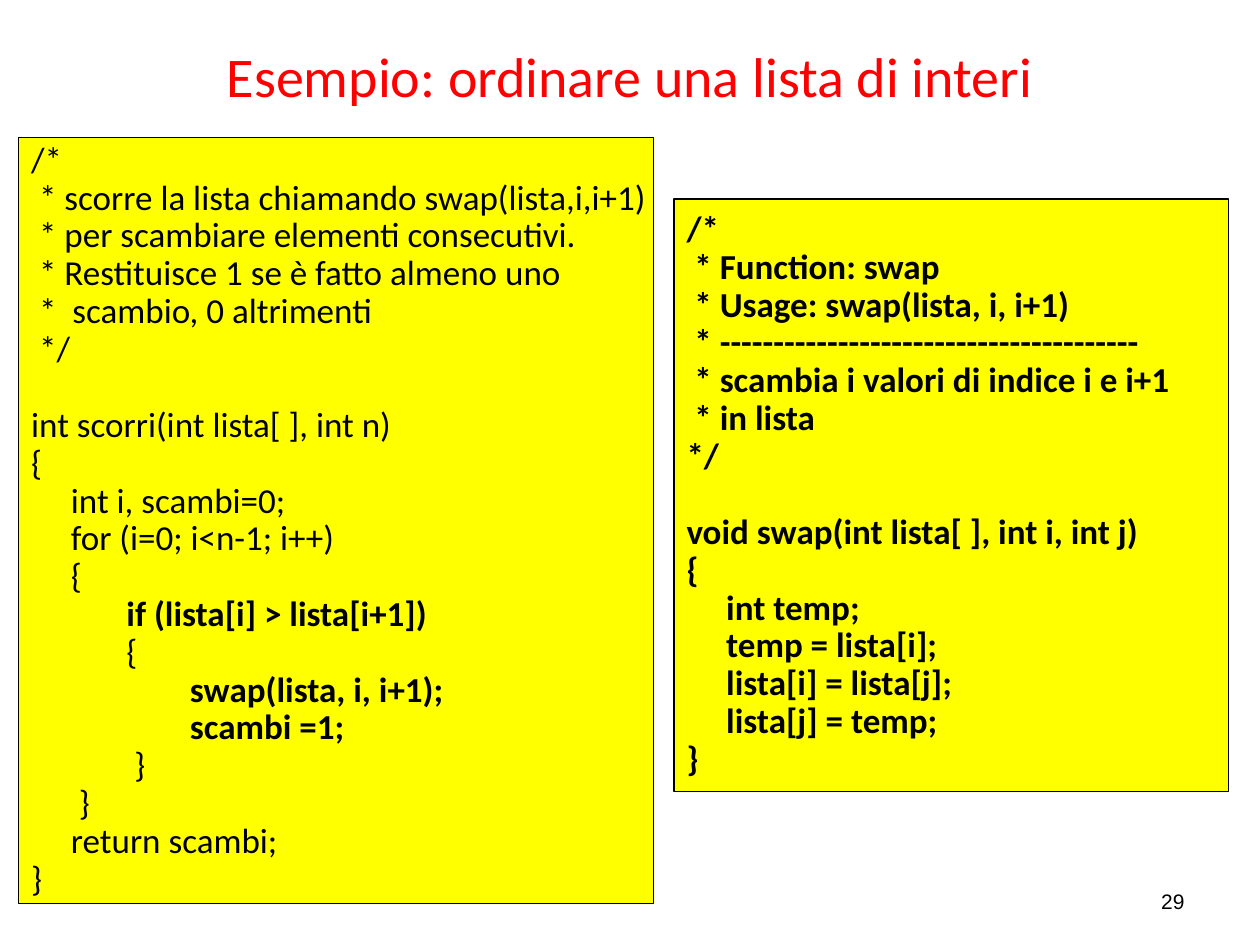
from dataclasses import dataclass

import pptx
import pptx.dml.color
import pptx.enum.shapes
import pptx.enum.text
import pptx.slide
import pptx.text.text
import pptx.util
from pptx.util import Cm, Pt

ALIGN = pptx.enum.text.PP_ALIGN
MIDDLE = pptx.enum.text.MSO_ANCHOR.MIDDLE
INDENT_STEP = 0.16  # cm, one character column of the code
BLANK_LINE = Pt(22)


@dataclass(frozen=True)
class CodeLine:
    text: str
    column: int = 0
    bold: bool = False
    new_section: bool = False


@dataclass(frozen=True)
class CodePanel:
    left: float
    top: float
    width: float
    height: float
    lines: list[CodeLine]


SCORRI = CodePanel(0.38, 2.77, 12.8, 15.44, [
    CodeLine("/*"),
    CodeLine("* scorre la lista chiamando swap(lista,i,i+1)", 1),
    CodeLine("* per scambiare elementi consecutivi.", 1),
    CodeLine("* Restituisce 1 se è fatto almeno uno", 1),
    CodeLine("*  scambio, 0 altrimenti", 1),
    CodeLine("*/", 1),
    CodeLine("int scorri(int lista[ ], int n)", new_section=True),
    CodeLine("{"),
    CodeLine("int i, scambi=0;", 5),
    CodeLine("for (i=0; i<n-1; i++)", 5),
    CodeLine("{", 5),
    CodeLine("if (lista[i] > lista[i+1])", 12, bold=True),
    CodeLine("{", 12),
    CodeLine("swap(lista, i, i+1);", 20, bold=True),
    CodeLine("scambi =1;", 20, bold=True),
    CodeLine("}", 13),
    CodeLine("}", 6),
    CodeLine("return scambi;", 5),
    CodeLine("}"),
])

SWAP = CodePanel(13.59, 4.01, 11.18, 11.94, [
    CodeLine("/*", bold=True),
    CodeLine("* Function: swap", 1, bold=True),
    CodeLine("* Usage: swap(lista, i, i+1)", 1, bold=True),
    CodeLine("* " + "-" * 39, 1, bold=True),
    CodeLine("* scambia i valori di indice i e i+1", 1, bold=True),
    CodeLine("* in lista", 1, bold=True),
    CodeLine("*/", bold=True),
    CodeLine("void swap(int lista[ ], int i, int j)", bold=True, new_section=True),
    CodeLine("{", bold=True),
    CodeLine("int temp;", 5, bold=True),
    CodeLine("temp = lista[i];", 5, bold=True),
    CodeLine("lista[i] = lista[j];", 5, bold=True),
    CodeLine("lista[j] = temp;", 5, bold=True),
    CodeLine("}", bold=True),
])


def color(value: str) -> pptx.dml.color.RGBColor:
    return pptx.dml.color.RGBColor.from_string(value)


def add_run(paragraph: pptx.text.text._Paragraph, text: str, size: float,
            fill: str = "000000", font: str = "Calibri", bold: bool = False) -> None:
    run = paragraph.add_run()
    run.text = text
    run.font.name = font
    run.font.size = Pt(size)
    run.font.bold = bold
    run.font.color.rgb = color(fill)


def add_title(slide: pptx.slide.Slide, text: str) -> None:
    title = slide.shapes.title
    title.left, title.top, title.width, title.height = Cm(1.27), Cm(0.76), Cm(22.86), Cm(1.52)
    title.text_frame.vertical_anchor = MIDDLE
    paragraph = title.text_frame.paragraphs[0]
    paragraph.alignment = ALIGN.CENTER
    add_run(paragraph, text, 32, "FF0000")


def add_page_number(slide: pptx.slide.Slide, number: str) -> None:
    box = slide.shapes.add_textbox(Cm(18.21), Cm(17.65), Cm(5.92), Cm(1.02))
    box.text_frame.word_wrap = True
    box.text_frame.vertical_anchor = MIDDLE
    paragraph = box.text_frame.paragraphs[0]
    paragraph.alignment = ALIGN.RIGHT
    add_run(paragraph, number, 12, font="Arial")


def add_code_panel(slide: pptx.slide.Slide, panel: CodePanel) -> None:
    box = slide.shapes.add_shape(
        pptx.enum.shapes.MSO_SHAPE.FLOWCHART_PROCESS,
        Cm(panel.left), Cm(panel.top), Cm(panel.width), Cm(panel.height))
    box.shadow.inherit = False
    box.fill.solid()
    box.fill.fore_color.rgb = color("FFFF00")
    box.line.color.rgb = color("000000")
    box.line.width = Pt(0.75)
    frame = box.text_frame
    frame.word_wrap = False
    frame.vertical_anchor = MIDDLE
    for index, line in enumerate(panel.lines):
        paragraph = frame.add_paragraph() if index else frame.paragraphs[0]
        paragraph.alignment = ALIGN.JUSTIFY
        paragraph.line_spacing = 0.9
        if line.new_section:
            paragraph.space_before = BLANK_LINE
        properties = paragraph._p.get_or_add_pPr()
        properties.set("marL", str(Cm(line.column * INDENT_STEP)))
        properties.set("indent", "0")
        add_run(paragraph, line.text, 20, bold=line.bold)


def main() -> None:
    deck = pptx.Presentation()
    deck.slide_width, deck.slide_height = Cm(25.4), Cm(19.05)
    slide = deck.slides.add_slide(deck.slide_layouts.get_by_name("Title Only"))
    add_page_number(slide, "29")
    add_title(slide, "Esempio: ordinare una lista di interi")
    for panel in (SCORRI, SWAP):
        add_code_panel(slide, panel)
    deck.save("out.pptx")


if __name__ == "__main__":
    main()
